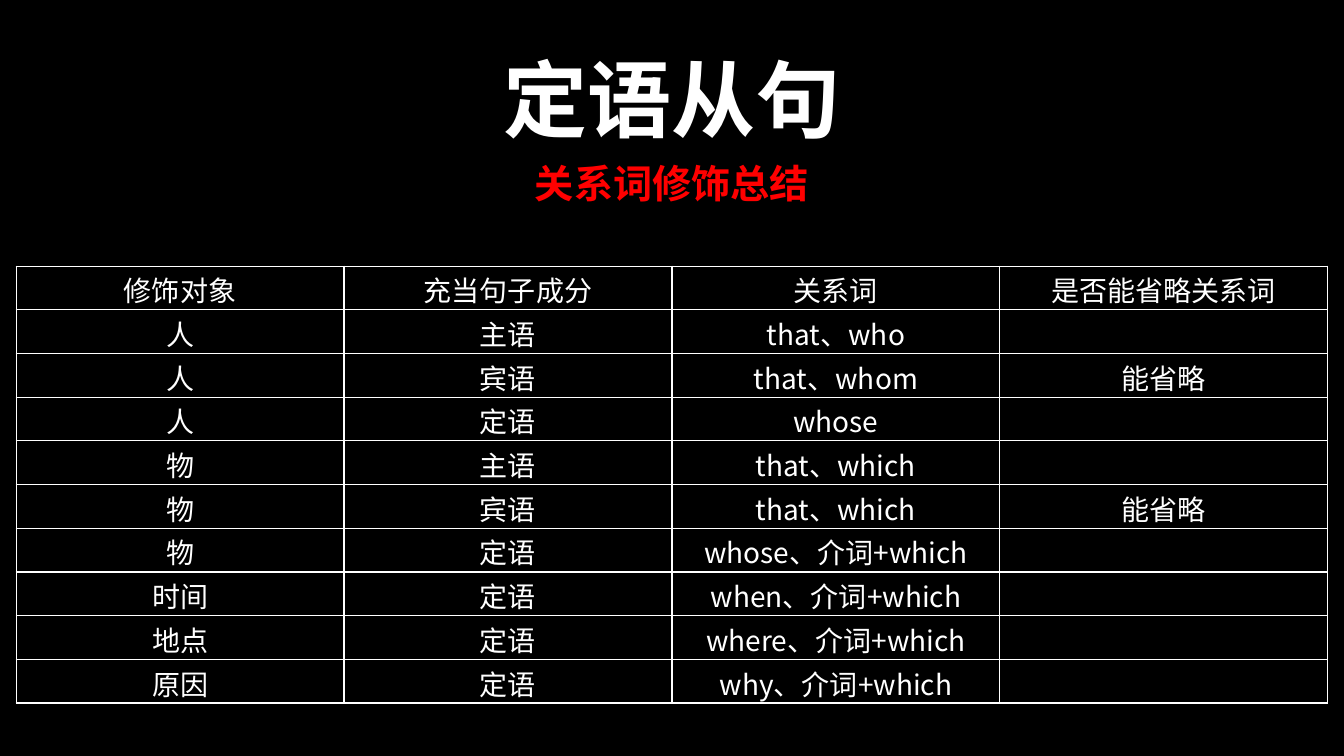
from lxml.etree import SubElement
from pptx import Presentation
from pptx.dml.color import RGBColor
from pptx.enum.text import MSO_ANCHOR as Anchor, MSO_AUTO_SIZE as AutoSize, PP_ALIGN as Align
from pptx.oxml.ns import qn
from pptx.util import Inches, Pt

FONT = "Noto Sans CJK SC"
BLACK, WHITE, RED = "000000", "FFFFFF", "FF0000"
ROWS = [
    ("修饰对象", "充当句子成分", "关系词", "是否能省略关系词"),
    ("人", "主语", "that、who", ""),
    ("人", "宾语", "that、whom", "能省略"),
    ("人", "定语", "whose", ""),
    ("物", "主语", "that、which", ""),
    ("物", "宾语", "that、which", "能省略"),
    ("物", "定语", "whose、介词+which", ""),
    ("时间", "定语", "when、介词+which", ""),
    ("地点", "定语", "where、介词+which", ""),
    ("原因", "定语", "why、介词+which", ""),
]


def rgb(color):
    """Turn a hex string into a colour."""
    return RGBColor.from_string(color)


def write(tf, text, size, color, bold=False):
    """Write one centred paragraph in the slide font."""
    p = tf.paragraphs[0]
    p.alignment = Align.CENTER
    p.space_before = Pt(0)
    p.font.size, p.font.bold, p.font.name = Pt(size), bold, FONT
    p.font.color.rgb = rgb(color)
    if text:
        r = p.add_run()
        r.text = text
        SubElement(r.font._element, qn("a:ea"), typeface=FONT)


def place_heading(sp, box, text, size, color):
    """Move a placeholder and fill it with a bold heading."""
    sp.left, sp.top, sp.width, sp.height = map(Inches, box)
    tf = sp.text_frame
    tf.auto_size = AutoSize.NONE
    tf.vertical_anchor = Anchor.MIDDLE
    write(tf, text, size, color, bold=True)


def add_borders(cell, color):
    """Draw a one point line on each side of a cell."""
    tc_pr = cell._tc.get_or_add_tcPr()
    for i, side in enumerate(("lnL", "lnR", "lnT", "lnB")):
        ln = tc_pr.makeelement(qn(f"a:{side}"), {"w": str(Pt(1))})
        fill = SubElement(ln, qn("a:solidFill"))
        SubElement(fill, qn("a:srgbClr"), val=color)
        tc_pr.insert(i, ln)


def add_summary_table(slide, rows, box):
    """Add the bordered table with equal rows and columns."""
    left, top, width, height = map(Inches, box)
    table = slide.shapes.add_table(len(rows), len(rows[0]), left, top, width, height).table
    table.first_row = table.horz_banding = False
    for row, texts in zip(table.rows, rows):
        for cell, text in zip(row.cells, texts):
            cell.fill.solid()
            cell.fill.fore_color.rgb = rgb(BLACK)
            cell.margin_top, cell.margin_bottom = Inches(0.03), 0
            cell.vertical_anchor = Anchor.BOTTOM
            write(cell.text_frame, text, 20, WHITE)
            add_borders(cell, WHITE)


def main():
    """Build the relative clause summary slide."""
    prs = Presentation()
    prs.slide_width, prs.slide_height = Inches(13.33), Inches(7.5)
    s = prs.slides.add_slide(prs.slide_layouts[0])
    s.background.fill.solid()
    s.background.fill.fore_color.rgb = rgb(BLACK)
    title, subtitle = s.placeholders
    place_heading(title, (4.88, 0.42, 3.57, 1.11), "定语从句", 60, WHITE)
    place_heading(subtitle, (0.52, 1.53, 12.29, 0.57), "关系词修饰总结", 28, RED)
    add_summary_table(s, ROWS, (0.16, 2.64, 13.01, 4.33))
    prs.save("out.pptx")


if __name__ == "__main__":
    main()
